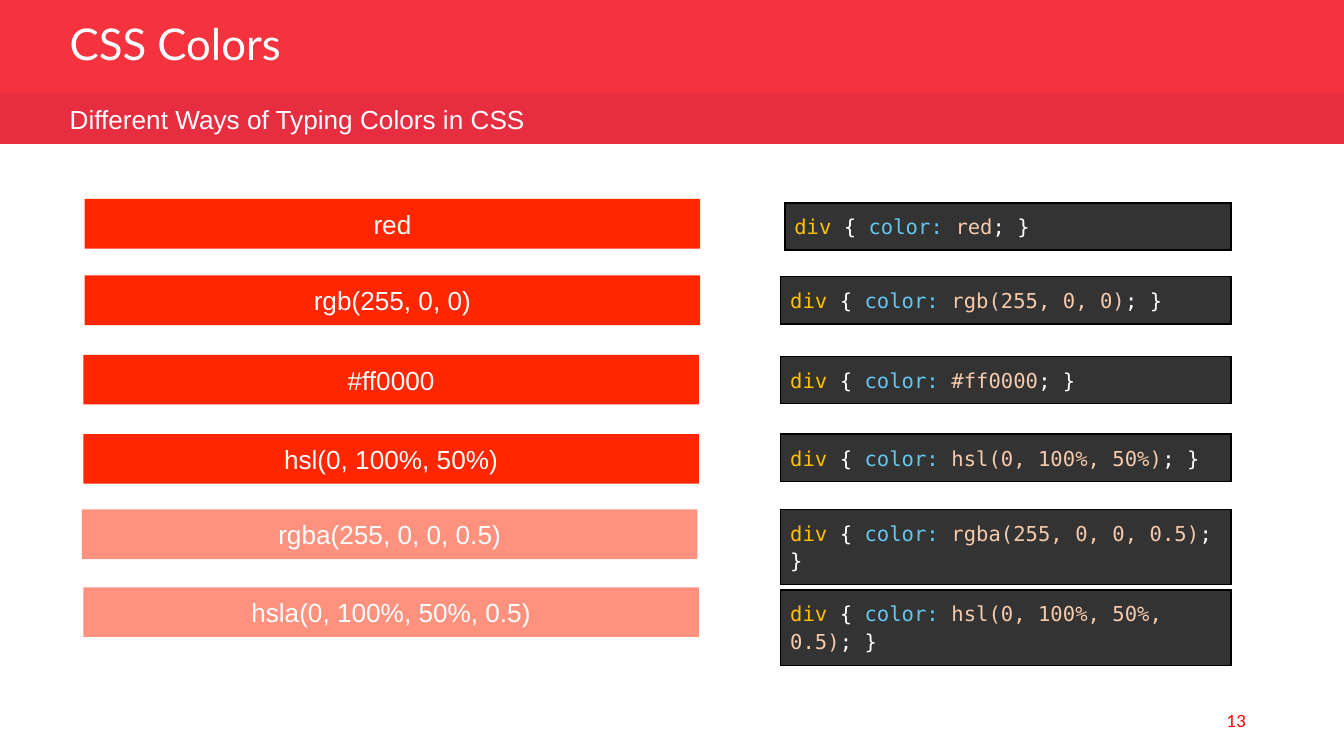
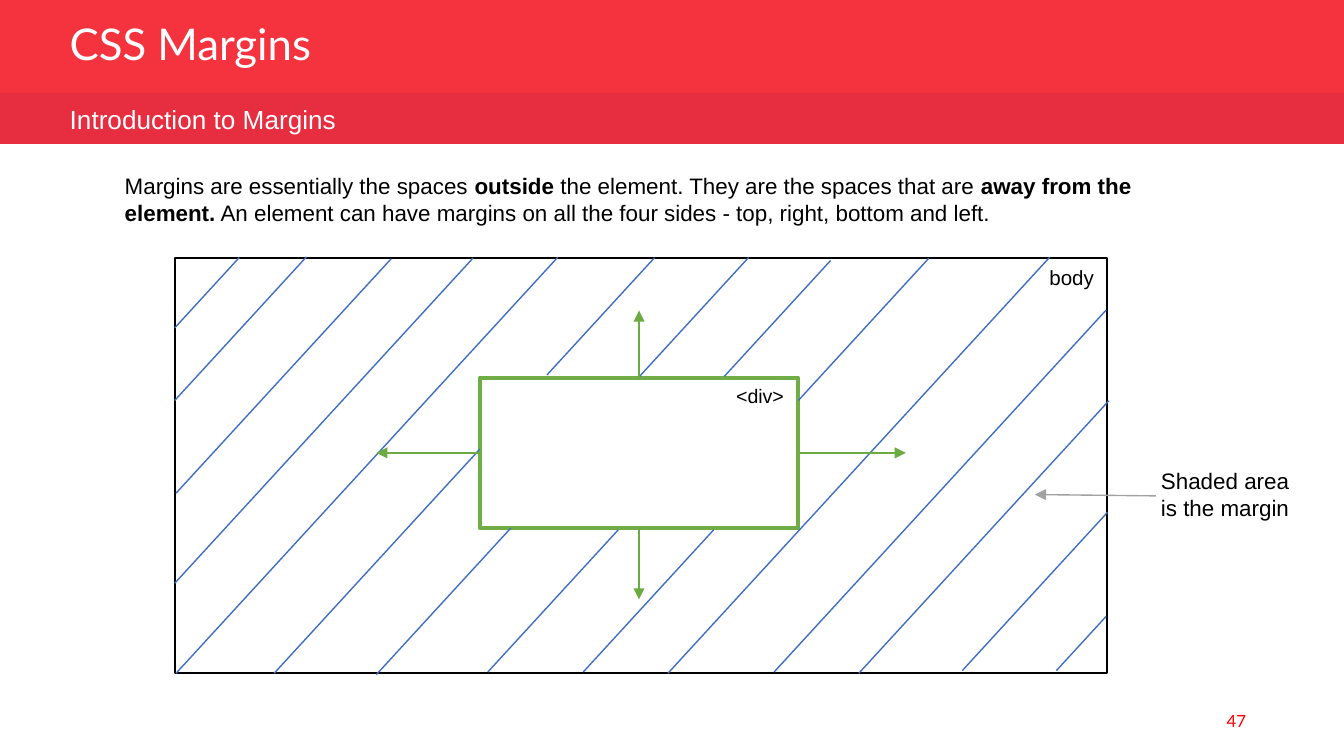
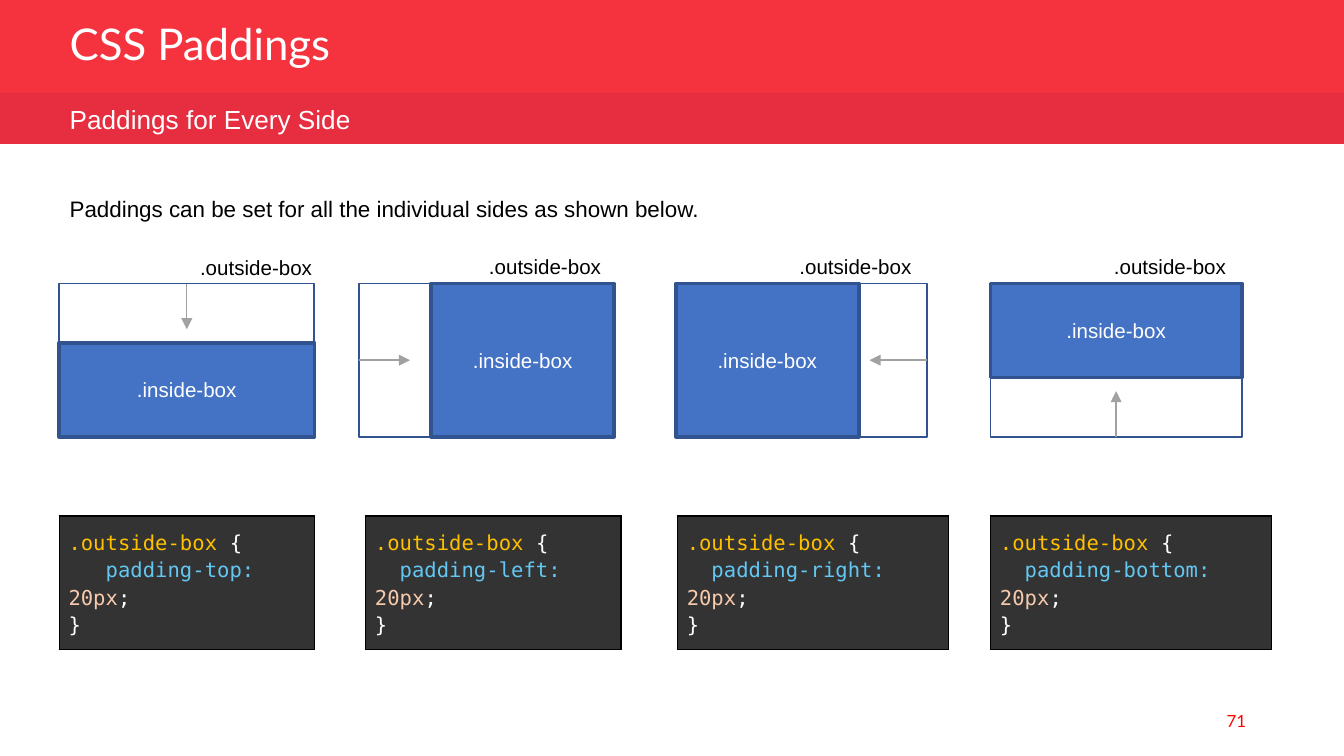
import lxml.etree
import pptx
import pptx.dml.color
import pptx.enum.shapes
import pptx.enum.text
import pptx.oxml.ns
import pptx.util

Inches = pptx.util.Inches
Pt = pptx.util.Pt
ALIGN = pptx.enum.text.PP_ALIGN
ANCHOR = pptx.enum.text.MSO_ANCHOR
qn = pptx.oxml.ns.qn

SLIDE_WIDTH = 10
SLIDE_HEIGHT = SLIDE_WIDTH * 9 / 16

WHITE = "FFFFFF"
BLACK = "000000"
TITLE_RED = "F5333F"
SUBTITLE_RED = "E72D40"
NUMBER_RED = "FF0000"
SAMPLE_RED = "FF2600"
GREEN = "70AD47"
ARROW_GREEN = "6CAB42"
HATCH_BLUE = "3E6EC2"
BOX_BLUE = "4472C4"
BOX_EDGE = "31538F"
GRAY = "A1A1A1"
CODE_FILL = "333333"
CODE_GOLD = "FFC000"
CODE_BLUE = "62C8F3"
CODE_PEACH = "F7CAAC"


def color(hex_string):
    return pptx.dml.color.RGBColor.from_string(hex_string)


class Deck:
    """Holds the shared style and the slide being drawn; lengths are in inches."""

    body_font = "Arial"
    title_font = "Lato"
    code_font = "DejaVu Sans Mono"

    def __init__(self):
        self.presentation = pptx.Presentation()
        self.presentation.slide_width = Inches(SLIDE_WIDTH)
        self.presentation.slide_height = Inches(SLIDE_HEIGHT)
        self.slide = None

    def new_slide(self, title, subtitle, number):
        layout = self.presentation.slide_layouts[6]
        self.slide = self.presentation.slides.add_slide(layout)
        self.box(0, 0, SLIDE_WIDTH, 0.7, fill=TITLE_RED)
        self.text(7.12, 5.21, 2.25, 0.3, [(number, NUMBER_RED)], 9, self.title_font,
                  ALIGN.RIGHT, ANCHOR.MIDDLE)
        self.text(0.42, 0.14, 4.69, 0.44, [(title, WHITE)], 23.4, self.title_font,
                  anchor=ANCHOR.MIDDLE, spacing=0.8)
        self.box(0, 0.69, SLIDE_WIDTH, 0.38, fill=SUBTITLE_RED)
        self.text(0.42, 0.72, 5.09, 0.34, [(subtitle, WHITE)], 14)

    def add_runs(self, paragraph, runs, size, font_name):
        """Each run is (text, color) or (text, color, bold)."""
        for text, hex_string, *bold in runs:
            run = paragraph.add_run()
            run.text = text
            run.font.name = font_name
            run.font.size = Pt(size)
            run.font.bold = bool(bold and bold[0])
            run.font.color.rgb = color(hex_string)

    def text(self, left, top, width, height, runs, size, font_name=body_font,
             align=ALIGN.LEFT, anchor=ANCHOR.TOP, spacing=None):
        shape = self.slide.shapes.add_textbox(
            Inches(left), Inches(top), Inches(width), Inches(height))
        frame = shape.text_frame
        frame.word_wrap = True
        frame.vertical_anchor = anchor
        paragraph = frame.paragraphs[0]
        paragraph.alignment = align
        paragraph.line_spacing = spacing
        self.add_runs(paragraph, runs, size, font_name)

    def box(self, left, top, width, height, fill=None, line=None, line_width=1,
            label=None, size=14, opacity=100):
        shape = self.slide.shapes.add_shape(
            pptx.enum.shapes.MSO_SHAPE.RECTANGLE,
            Inches(left), Inches(top), Inches(width), Inches(height))
        shape.shadow.inherit = False
        if fill:
            shape.fill.solid()
            shape.fill.fore_color.rgb = color(fill)
        else:
            shape.fill.background()
        if opacity < 100:
            fill_color = shape._element.spPr.find(qn("a:solidFill")).find(qn("a:srgbClr"))
            alpha = lxml.etree.SubElement(fill_color, qn("a:alpha"))
            alpha.set("val", str(opacity * 1000))
        if line:
            shape.line.color.rgb = color(line)
            shape.line.width = Pt(line_width)
        else:
            shape.line.fill.background()
        if label:
            shape.text_frame.vertical_anchor = ANCHOR.MIDDLE
            paragraph = shape.text_frame.paragraphs[0]
            paragraph.alignment = ALIGN.CENTER
            self.add_runs(paragraph, [(label, WHITE)], size, self.body_font)

    def line(self, start, end, hex_string, arrow=False):
        connector = self.slide.shapes.add_connector(
            pptx.enum.shapes.MSO_CONNECTOR.STRAIGHT,
            Inches(start[0]), Inches(start[1]), Inches(end[0]), Inches(end[1]))
        connector.line.color.rgb = color(hex_string)
        connector.line.width = Pt(0.75)
        if arrow:
            tail = lxml.etree.SubElement(connector.line._get_or_add_ln(), qn("a:tailEnd"))
            tail.set("type", "triangle")
        lxml.etree.SubElement(connector._element.spPr, qn("a:effectLst"))

    def code(self, left, top, width, height, lines, anchor=ANCHOR.TOP):
        """One-cell table; each line is a list of runs."""
        table = self.slide.shapes.add_table(
            1, 1, Inches(left), Inches(top), Inches(width), Inches(height)).table
        table.first_row = False
        table.horz_banding = False
        cell = table.cell(0, 0)
        cell.vertical_anchor = anchor
        cell.margin_left = cell.margin_right = Inches(0.07)
        cell.margin_top = cell.margin_bottom = Inches(0.07)
        properties = cell._tc.get_or_add_tcPr()
        for side in ("a:lnL", "a:lnR", "a:lnT", "a:lnB"):
            border = lxml.etree.SubElement(properties, qn(side), w=str(Pt(0.75)))
            border_fill = lxml.etree.SubElement(border, qn("a:solidFill"))
            lxml.etree.SubElement(border_fill, qn("a:srgbClr"), val=BLACK)
        cell.fill.solid()
        cell.fill.fore_color.rgb = color(CODE_FILL)
        frame = cell.text_frame
        for index, runs in enumerate(lines):
            paragraph = frame.add_paragraph() if index else frame.paragraphs[0]
            paragraph.line_spacing = 1.15
            self.add_runs(paragraph, runs, 11, self.code_font)


def colors_slide(deck):
    deck.new_slide("CSS Colors", "Different Ways of Typing Colors in CSS", "13")
    # label, value in code, bar left, bar top, code left, code top, opacity
    samples = [
        ("red", "red", 0.63, 1.48, 5.84, 1.51, 100),
        ("rgb(255, 0, 0)", "rgb(255, 0, 0)", 0.63, 2.05, 5.81, 2.06, 100),
        ("#ff0000", "#ff0000", 0.62, 2.64, 5.81, 2.65, 100),
        ("hsl(0, 100%, 50%)", "hsl(0, 100%, 50%)", 0.62, 3.23, 5.81, 3.23, 100),
        ("rgba(255, 0, 0, 0.5)", "rgba(255, 0, 0, 0.5)", 0.61, 3.79, 5.81, 3.79, 50),
        ("hsla(0, 100%, 50%, 0.5)", "hsl(0, 100%, 50%, 0.5)", 0.62, 4.37, 5.81, 4.39, 50),
    ]
    code_right = 9.16
    for label, value, bar_left, bar_top, code_left, code_top, opacity in samples:
        deck.box(bar_left, bar_top, 4.58, 0.37, fill=SAMPLE_RED, label=label, opacity=opacity)
        rule = [("div", CODE_GOLD), (" ", CODE_BLUE), ("{", WHITE), (" color: ", CODE_BLUE),
                (value, CODE_PEACH), ("; }", WHITE)]
        deck.code(code_left, code_top, code_right - code_left, 0.34, [rule])


def margins_slide(deck):
    deck.new_slide("CSS Margins", "Introduction to Margins", "47")
    deck.text(0.83, 1.23, 8.34, 0.5, [
        ("Margins are essentially the spaces ", BLACK),
        ("outside ", BLACK, True),
        ("the element. They are the spaces that are ", BLACK),
        ("away from the element.", BLACK, True),
        (" An element can have margins on all the four sides - top, right, bottom and left.",
         BLACK),
    ], 12)

    left, top, width, height = 3.57, 2.81, 2.37, 1.12
    deck.box(left, top, width, height, line=GREEN, line_width=2)
    deck.text(5.38, 2.81, 0.56, 0.28, [("<div>", BLACK)], 10.5)
    deck.box(1.3, 1.92, 6.94, 3.09, line=BLACK)
    deck.text(7.71, 1.92, 0.54, 0.29, [("body", BLACK)], 11)

    # start x, start y, end x; all hatch lines share one slope
    hatch_slope = 1.09
    hatches = [
        (1.3, 2.44, 1.78), (1.3, 2.98, 2.28), (1.31, 3.67, 2.91), (1.3, 4.34, 3.52),
        (1.31, 5.01, 4.15), (2.04, 5.01, 3.57), (2.8, 5.02, 3.8), (3.63, 5, 4.6),
        (4.34, 5, 5.31), (5.76, 5, 8.23), (4.97, 5.01, 7.81), (6.39, 5.01, 8.25),
        (7.16, 4.99, 8.24), (7.86, 4.99, 8.23), (4.75, 2.81, 5.57), (4.07, 2.79, 4.87),
        (5.39, 2.8, 6.18), (5.94, 2.98, 6.91),
    ]
    for start_x, start_y, end_x in hatches:
        end_y = start_y - hatch_slope * (end_x - start_x)
        deck.line((start_x, start_y), (end_x, end_y), HATCH_BLUE)

    deck.text(8.54, 3.43, 1.27, 0.5, [("Shaded area is the margin", BLACK)], 12)
    deck.line((8.6, 3.69), (7.7, 3.68), GRAY, arrow=True)
    center_x, center_y = left + width / 2, top + height / 2
    for start, end in [
        ((center_x, top), (center_x, 2.31)),
        ((left + width, center_y), (6.74, center_y)),
        ((center_x, top + height), (center_x, 4.46)),
        ((left, center_y), (2.8, center_y)),
    ]:
        deck.line(start, end, ARROW_GREEN, arrow=True)


def padded_box(deck, left, width, direction, reach, label_left, label_top):
    """Outer box, filled inner box, and an arrow of length reach pointing inward."""
    top, height = 2.11, 1.14
    across, down = direction
    inner_width = 1.36 if across else width
    inner_height = 0.7 if down else height
    inner_left = left + width - inner_width if across > 0 else left
    inner_top = top + height - inner_height if down > 0 else top
    deck.box(left, top, width, height, line=BOX_EDGE)
    deck.box(inner_left, inner_top, inner_width, inner_height, fill=BOX_BLUE,
             line=BOX_EDGE, line_width=2, label=".inside-box", size=11)
    deck.text(label_left, label_top, 1.1, 0.25, [(".outside-box", BLACK)], 11)
    start_x = left + width * (1 - across) / 2
    start_y = top + height * (1 - down) / 2
    deck.line((start_x, start_y), (start_x + reach * across, start_y + reach * down),
              GRAY, arrow=True)


def paddings_slide(deck):
    deck.new_slide("CSS Paddings", "Paddings for Every Side", "71")
    deck.text(0.42, 1.4, 8.34, 0.3, [
        ("Paddings can be set for all the individual sides as shown below.", BLACK)], 12)
    # declaration, code left, code width
    rules = [
        ("   padding-top: ", 0.44, 1.9),
        ("  padding-left: ", 2.72, 1.9),
        ("  padding-right: ", 5.04, 2.02),
        ("  padding-bottom: ", 7.37, 2.09),
    ]
    for declaration, left, width in rules:
        deck.code(left, 3.84, width, 0.99, [
            [(".outside-box", CODE_GOLD), (" ", CODE_BLUE), ("{", WHITE)],
            [(declaration, CODE_BLUE), ("20px", CODE_PEACH), (";", WHITE)],
            [("}", WHITE)],
        ], ANCHOR.MIDDLE)
    padded_box(deck, 0.44, 1.9, (0, 1), 0.34, 1.39, 1.85)
    padded_box(deck, 2.67, 1.9, (1, 0), 0.38, 3.54, 1.84)
    padded_box(deck, 5.03, 1.87, (-1, 0), 0.43, 5.85, 1.84)
    padded_box(deck, 7.37, 1.87, (0, -1), 0.34, 8.19, 1.84)


def main():
    deck = Deck()
    colors_slide(deck)
    margins_slide(deck)
    paddings_slide(deck)
    deck.presentation.save("out.pptx")


if __name__ == "__main__":
    main()
